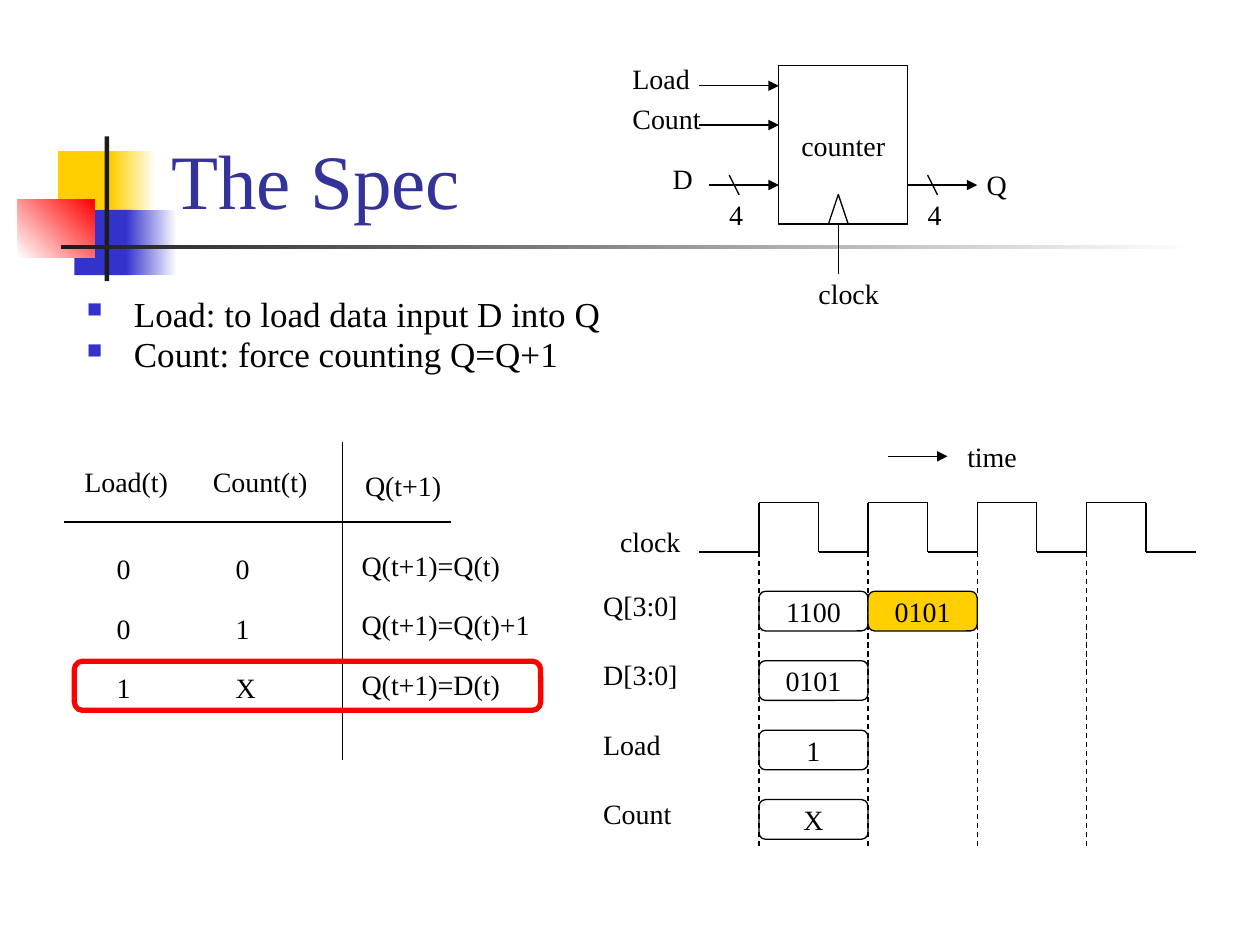
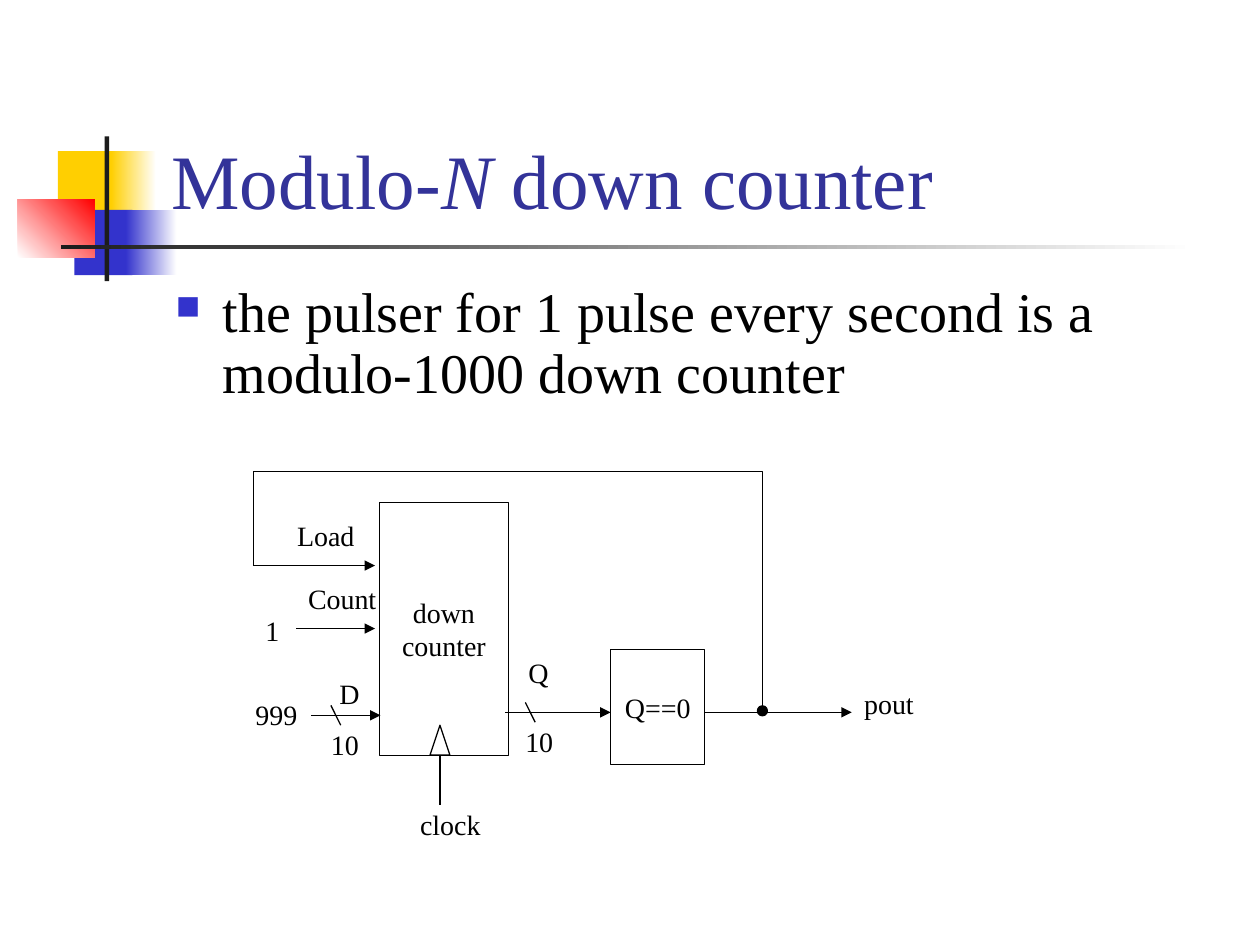
from dataclasses import dataclass
from itertools import pairwise
from typing import Any

from lxml.etree import SubElement
from pptx import Presentation
from pptx.dml.color import RGBColor
from pptx.enum.dml import MSO_LINE
from pptx.enum.shapes import MSO_CONNECTOR, MSO_SHAPE
from pptx.enum.text import MSO_ANCHOR, MSO_AUTO_SIZE, PP_ALIGN
from pptx.oxml.ns import qn
from pptx.util import Cm, Pt

COLORS = {
    "ink": "000000",
    "paper": "FFFFFF",
    "title": "333399",
    "blue": "3333CC",
    "yellow": "FFCF01",
    "red": "FF0000",
    "bar": "1C1C1C",
}
FONT = "Times New Roman"
LABEL_SIZE = 16
LABEL_HEIGHT = 0.93
LABEL_WIDTHS = {
    "Load": 1.68, "Count": 1.88, "clock": 1.73, "time": 1.52, "pout": 1.52,
    "D": 0.91, "Q": 0.91, "X": 0.91, "Q[3:0]": 2.03, "D[3:0]": 2.03,
    "Load(t)": 2.21, "Count(t)": 2.44, "Q(t+1)": 2.06,
    "Q(t+1)=Q(t)": 3.33, "Q(t+1)=Q(t)+1": 3.91, "Q(t+1)=D(t)": 3.33,
}


@dataclass(frozen=True)
class Box:
    left: float
    top: float
    width: float
    height: float

    def lengths(self) -> list[Cm]:
        return [Cm(v) for v in (self.left, self.top, self.width, self.height)]


@dataclass(frozen=True)
class Ornament:
    box: Box
    start: str
    end: str = ""
    angle: int = 0


@dataclass(frozen=True)
class Label:
    words: str
    left: float
    top: float


@dataclass(frozen=True)
class Wire:
    x1: float
    y1: float
    x2: float
    y2: float
    arrow: bool = False
    dashed: bool = False


@dataclass(frozen=True)
class Bus:
    x1: float
    x2: float
    y: float
    bits: str


ORNAMENTS = [
    Ornament(Box(1.17, 3.05, 1.22, 1.32), "yellow"),
    Ornament(Box(2.24, 3.05, 0.91, 1.32), "yellow", "paper"),
    Ornament(Box(1.5, 4.23, 1.17, 1.32), "blue"),
    Ornament(Box(2.54, 4.23, 1.02, 1.32), "blue", "paper"),
    Ornament(Box(0.36, 4.02, 1.55, 1.17), "paper", "red", 45),
    Ornament(Box(2.11, 2.75, 0.09, 2.92), "bar"),
    Ornament(Box(1.23, 4.94, 22.86, 0.09), "bar", "paper"),
]


def rgb(color: str) -> RGBColor:
    return RGBColor.from_string(COLORS[color])


def style_font(font: Any, size: int, color: str = "ink") -> None:
    font.name = FONT
    font.size = Pt(size)
    font.color.rgb = rgb(color)


def style_runs(frame: Any, size: int) -> None:
    for paragraph in frame.paragraphs:
        for run in paragraph.runs:
            style_font(run.font, size)


def draw_ornament(slide: Any, ornament: Ornament) -> Any:
    block = slide.shapes.add_shape(MSO_SHAPE.RECTANGLE, *ornament.box.lengths())
    block.shadow.inherit = False
    block.line.fill.background()
    if ornament.end:
        block.fill.gradient()
        block.fill.gradient_angle = ornament.angle
        for stop, color in zip(block.fill.gradient_stops, (ornament.start, ornament.end)):
            stop.color.rgb = rgb(color)
    else:
        block.fill.solid()
        block.fill.fore_color.rgb = rgb(ornament.start)
    return block


def decorate_layout(layout: Any, slide: Any) -> None:
    for number, ornament in enumerate(ORNAMENTS, start=101):
        element = draw_ornament(slide, ornament).element
        element.xpath(".//p:cNvPr")[0].set("id", str(number))
        layout.shapes.element.append(element)


def write_title(slide: Any, pieces: list[str], italic: str = "") -> None:
    title = slide.shapes.title
    title.left, title.top, title.width, title.height = Box(3.2, 0.6, 21.64, 4.06).lengths()
    frame = title.text_frame
    frame.word_wrap = True
    frame.auto_size = MSO_AUTO_SIZE.NONE
    frame.vertical_anchor = MSO_ANCHOR.BOTTOM
    paragraph = frame.paragraphs[0]
    paragraph.alignment = PP_ALIGN.LEFT
    for piece in pieces:
        run = paragraph.add_run()
        run.text = piece
        style_font(run.font, 44, "title")
        run.font.italic = piece == italic


def write_bullets(slide: Any, points: list[str], box: Box, size: int, spacing: float) -> None:
    frame = slide.shapes.add_textbox(*box.lengths()).text_frame
    frame.word_wrap = True
    frame.text = "\n".join(points)
    style_runs(frame, size)
    for paragraph in frame.paragraphs:
        paragraph.line_spacing = spacing
        paragraph.space_before = Pt(size * 0.2)
        props = paragraph._p.get_or_add_pPr()
        props.set("marL", str(Cm(0.95)))
        props.set("indent", str(-Cm(0.95)))
        SubElement(SubElement(props, qn("a:buClr")), qn("a:srgbClr"), val=COLORS["blue"])
        SubElement(props, qn("a:buSzPct"), val="60000")
        SubElement(props, qn("a:buChar"), char="■")


def draw_label(slide: Any, label: Label) -> None:
    width = LABEL_WIDTHS.get(label.words, 0.52 + 0.29 * len(label.words))
    box = Box(label.left, label.top, width, LABEL_HEIGHT)
    frame = slide.shapes.add_textbox(*box.lengths()).text_frame
    frame.word_wrap = False
    frame.auto_size = MSO_AUTO_SIZE.SHAPE_TO_FIT_TEXT
    frame.text = label.words
    style_runs(frame, LABEL_SIZE)


def draw_block(slide: Any, kind: MSO_SHAPE, box: Box, words: str = "", fill: str = "",
               line: str = "ink", weight: float = 0.75) -> None:
    block = slide.shapes.add_shape(kind, *box.lengths())
    block.shadow.inherit = False
    if fill:
        block.fill.solid()
        block.fill.fore_color.rgb = rgb(fill)
    else:
        block.fill.background()
    block.line.color.rgb = rgb(line)
    block.line.width = Pt(weight)
    if words:
        frame = block.text_frame
        frame.word_wrap = False
        frame.vertical_anchor = MSO_ANCHOR.MIDDLE
        frame.text = words
        style_runs(frame, LABEL_SIZE)
        for paragraph in frame.paragraphs:
            paragraph.alignment = PP_ALIGN.CENTER


def draw_wire(slide: Any, wire: Wire, kind: MSO_CONNECTOR = MSO_CONNECTOR.STRAIGHT) -> Any:
    ends = [Cm(v) for v in (wire.x1, wire.y1, wire.x2, wire.y2)]
    connector = slide.shapes.add_connector(kind, *ends)
    connector.line.color.rgb = rgb("ink")
    connector.line.width = Pt(0.75)
    if wire.dashed:
        connector.line.dash_style = MSO_LINE.DASH
    properties = connector.element.spPr
    if wire.arrow:
        SubElement(properties.find(qn("a:ln")), qn("a:tailEnd"), type="triangle")
    SubElement(properties, qn("a:effectLst"))
    return connector


def draw_bus(slide: Any, bus: Bus) -> None:
    draw_wire(slide, Wire(bus.x1, bus.y, bus.x2, bus.y, arrow=True))
    draw_wire(slide, Wire(bus.x1 + 0.4, bus.y - 0.2, bus.x1 + 0.6, bus.y + 0.2))
    draw_label(slide, Label(bus.bits, bus.x1 + 0.15, bus.y + 0.13))


def draw_clock_input(slide: Any, x: float, bottom: float) -> None:
    draw_block(slide, MSO_SHAPE.ISOSCELES_TRIANGLE, Box(x - 0.2, bottom - 0.6, 0.4, 0.6))
    draw_wire(slide, Wire(x, bottom + 1, x, bottom))
    draw_label(slide, Label("clock", x - 0.65, bottom + 0.93))


def draw_feedback(slide: Any, start: tuple[float, float], end: tuple[float, float],
                  peak: float) -> None:
    rise, run = start[1] - end[1], start[0] - end[0]
    x, y = (start[0] + end[0]) / 2, (start[1] + end[1]) / 2
    upright = Wire(x + rise / 2, y - run / 2, x - rise / 2, y + run / 2)
    properties = draw_wire(slide, upright, MSO_CONNECTOR.ELBOW).element.spPr
    properties.find(qn("a:xfrm")).set("rot", "5400000")
    geometry = properties.find(qn("a:prstGeom"))
    guides = geometry.find(qn("a:avLst"))
    if guides is None:
        guides = SubElement(geometry, qn("a:avLst"))
    bend = round((start[1] - peak) / rise * 100000)
    SubElement(guides, qn("a:gd"), name="adj1", fmla=f"val {bend}")


def draw_counter(slide: Any) -> None:
    draw_block(slide, MSO_SHAPE.RECTANGLE, Box(15.7, 1.32, 2.6, 3.2), "counter")
    draw_clock_input(slide, 16.9, 4.52)
    for bus in (Bus(14.3, 15.7, 3.73, "4"), Bus(18.3, 19.7, 3.73, "4")):
        draw_bus(slide, bus)
    for y in (1.73, 2.52):
        draw_wire(slide, Wire(14.1, y, 15.7, y, arrow=True))
    for label in (Label("Load", 12.5, 1.12), Label("Count", 12.5, 1.93),
                  Label("D", 13.31, 3.13), Label("Q", 19.64, 3.25)):
        draw_label(slide, label)


def draw_truth_table(slide: Any) -> None:
    draw_wire(slide, Wire(1.3, 10.52, 9.1, 10.52))
    draw_wire(slide, Wire(6.91, 8.92, 6.91, 15.32))
    for heading in (Label("Load(t)", 1.45, 9.25), Label("Count(t)", 4.04, 9.25),
                    Label("Q(t+1)", 7.11, 9.32)):
        draw_label(slide, heading)
    states = [("0", "0", "Q(t+1)=Q(t)"), ("0", "1", "Q(t+1)=Q(t)+1"), ("1", "X", "Q(t+1)=D(t)")]
    for row, (load, count, result) in enumerate(states):
        top = 11 + 1.2 * row
        draw_label(slide, Label(load, 2.1, top))
        draw_label(slide, Label(count, 4.5, top))
        draw_label(slide, Label(result, 7.04, top - 0.07))
    draw_block(slide, MSO_SHAPE.ROUNDED_RECTANGLE, Box(1.5, 13.33, 9.4, 0.99),
               line="red", weight=3)


def draw_timing(slide: Any) -> None:
    low, high, period = 11.13, 10.13, 2.2
    edges = [15.3 + period * cycle for cycle in range(4)]
    wave = [(14.1, low)]
    for edge in edges:
        wave += [(edge, low), (edge, high), (edge + 1.2, high), (edge + 1.2, low)]
    wave.append((edges[-1] + period, low))
    for start, end in pairwise(wave):
        draw_wire(slide, Wire(*start, *end))
    for edge in edges:
        draw_wire(slide, Wire(edge, low, edge, 17.12, dashed=True))
    draw_wire(slide, Wire(17.9, 9.2, 19.1, 9.2, arrow=True))
    draw_label(slide, Label("time", 19.25, 8.74))
    draw_label(slide, Label("clock", 12.25, 10.45))
    signals = {"Q[3:0]": ["1100", "0101"], "D[3:0]": ["0101"], "Load": ["1"], "Count": ["X"]}
    for row, (signal, values) in enumerate(signals.items()):
        top = 11.92 + 1.4 * row
        draw_label(slide, Label(signal, 11.91, top - 0.18))
        for cycle, value in enumerate(values):
            draw_block(slide, MSO_SHAPE.ROUNDED_RECTANGLE, Box(edges[cycle], top, period, 0.8),
                       value, fill="yellow" if cycle else "")


def draw_down_counter(slide: Any) -> None:
    draw_block(slide, MSO_SHAPE.RECTANGLE, Box(7.65, 10.13, 2.6, 5.1), "down\ncounter")
    draw_clock_input(slide, 8.87, 15.22)
    for bus in (Bus(6.27, 7.67, 14.42, "10"), Bus(10.19, 12.31, 14.36, "10")):
        draw_bus(slide, bus)
    draw_block(slide, MSO_SHAPE.RECTANGLE, Box(12.31, 13.09, 1.9, 2.33), "Q==0")
    for wire in (Wire(5.1, 11.4, 7.56, 11.4, arrow=True),
                 Wire(5.97, 12.67, 7.56, 12.67, arrow=True),
                 Wire(14.21, 14.36, 17.17, 14.36, arrow=True)):
        draw_wire(slide, wire)
    for label in (Label("Load", 5.74, 10.33), Label("Count", 5.96, 11.6), Label("1", 5.1, 12.24),
                  Label("D", 6.59, 13.51), Label("999", 4.9, 13.94), Label("Q", 10.4, 13.09),
                  Label("pout", 17.17, 13.72)):
        draw_label(slide, label)
    draw_block(slide, MSO_SHAPE.OVAL, Box(15.27, 14.23, 0.2, 0.2), fill="ink")
    draw_feedback(slide, (15.37, 14.23), (5.11, 11.4), 9.5)


def main() -> None:
    deck = Presentation()
    deck.slide_width, deck.slide_height = Cm(25.4), Cm(19.05)
    title_only = deck.slide_layouts[5]

    spec_slide = deck.slides.add_slide(title_only)
    decorate_layout(title_only, spec_slide)
    write_title(spec_slide, ["The Spec"])
    write_bullets(spec_slide, ["Load: to load data input D into Q", "Count: force counting Q=Q+1"],
                  Box(1.5, 5.93, 11.2, 2.39), 20, 0.8)
    draw_counter(spec_slide)
    draw_truth_table(spec_slide)
    draw_timing(spec_slide)

    modulo_slide = deck.slides.add_slide(title_only)
    write_title(modulo_slide, ["Modulo-", "N", " down counter"], italic="N")
    write_bullets(modulo_slide,
                  ["the pulser for 1 pulse every second is a modulo-1000 down counter"],
                  Box(3.29, 5.61, 21.59, 2.92), 32, 0.9)
    draw_down_counter(modulo_slide)
    deck.save("out.pptx")


if __name__ == "__main__":
    main()
